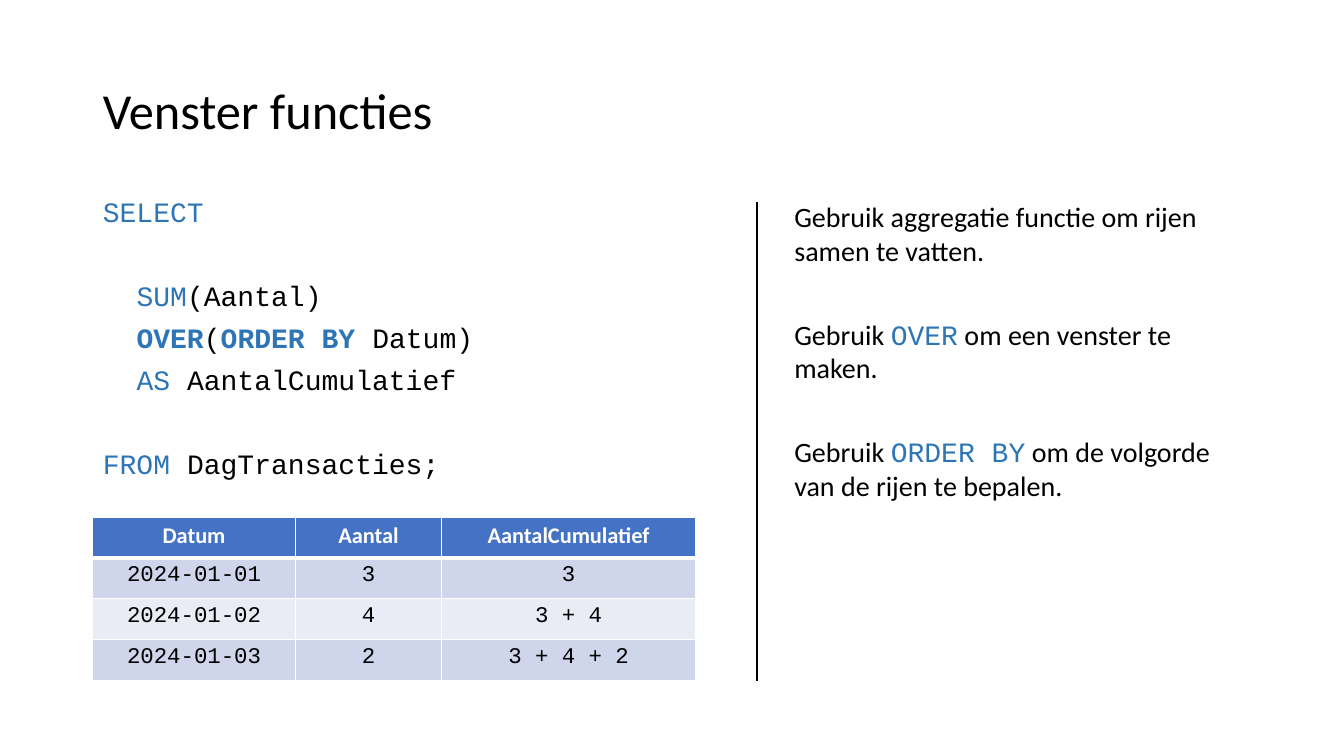
from lxml.etree import SubElement
from pptx import Presentation
from pptx.dml.color import RGBColor
from pptx.enum.shapes import MSO_CONNECTOR
from pptx.enum.text import MSO_ANCHOR, MSO_AUTO_SIZE, PP_ALIGN
from pptx.oxml.ns import qn
from pptx.util import Inches, Pt

BLACK, WHITE, BLUE = "000000", "FFFFFF", "2E75B6"
HEADER_FILL, BAND_FILLS = "4472C4", ("CFD5EA", "E9EBF5")
SANS, MONO = "Calibri", "Courier New"

PLAIN = {"name": SANS, "size": Pt(20), "bold": False, "color": BLACK}
CODE = {**PLAIN, "name": MONO}
KEYWORD = {**CODE, "color": BLUE}
STRONG = {**KEYWORD, "bold": True}
TITLE = {**PLAIN, "size": Pt(36)}
HEADER = {**PLAIN, "size": Pt(16), "bold": True, "color": WHITE}
CELL = {**CODE, "size": Pt(16)}

LINE_GAP, BLOCK_GAP = 6, 36

# Each paragraph: space before, then (text, style) runs
QUERY = [
    (0, [("SELECT", KEYWORD)]),
    (BLOCK_GAP, [("  ", CODE), ("SUM", KEYWORD), ("(Aantal)", CODE)]),
    (LINE_GAP, [("  ", CODE), ("OVER", STRONG), ("(", CODE),
                ("ORDER BY ", STRONG), ("Datum)", CODE)]),
    (LINE_GAP, [("  ", CODE), ("AS ", KEYWORD), ("AantalCumulatief", CODE)]),
    (BLOCK_GAP, [("FROM ", KEYWORD), ("DagTransacties;", CODE)]),
]
EXPLANATION = [
    (0, [("Gebruik aggregatie functie om rijen samen te vatten.", PLAIN)]),
    (BLOCK_GAP, [("Gebruik ", PLAIN), ("OVER", KEYWORD),
                 (" om een venster te maken.", PLAIN)]),
    (BLOCK_GAP, [("Gebruik ", PLAIN), ("ORDER BY", KEYWORD),
                 (" om de volgorde van de rijen te bepalen.", PLAIN)]),
]
RESULT = [
    ("Datum", "Aantal", "AantalCumulatief"),
    ("2024-01-01", "3", "3"),
    ("2024-01-02", "4", "3 + 4"),
    ("2024-01-03", "2", "3 + 4 + 2"),
]


def rgb(value):
    return RGBColor.from_string(value)


class SlideBuilder:
    def __init__(self, prs):
        self.slide = prs.slides.add_slide(prs.slide_layouts[1])

    def place(self, sp, left, top, width, height):
        box = {"left": left, "top": top, "width": width, "height": height}
        for name, value in box.items():
            setattr(sp, name, Inches(value))

    def add_runs(self, p, runs):
        for text, style in runs:
            r = p.add_run()
            r.text = text
            for name, value in style.items():
                if name == "color":
                    r.font.color.rgb = rgb(value)
                else:
                    setattr(r.font, name, value)

    def fill_text(self, sp, paragraphs, anchor=MSO_ANCHOR.TOP, line_spacing=1.0):
        tf = sp.text_frame
        frame = {"word_wrap": True, "auto_size": MSO_AUTO_SIZE.NONE,
                 "vertical_anchor": anchor}
        for name, value in frame.items():
            setattr(tf, name, value)
        for i, (gap, runs) in enumerate(paragraphs):
            p = tf.add_paragraph() if i else tf.paragraphs[0]
            layout = {"alignment": PP_ALIGN.LEFT, "space_before": Pt(gap),
                      "line_spacing": line_spacing}
            for name, value in layout.items():
                setattr(p, name, value)
            self.add_runs(p, runs)
        return tf

    def title(self, text, *box):
        sp = self.slide.shapes.title
        self.place(sp, *box)
        self.fill_text(sp, [(0, [(text, TITLE)])], MSO_ANCHOR.MIDDLE, 0.9)

    def code(self, paragraphs, *box):
        sp = self.slide.placeholders[1]
        self.place(sp, *box)
        tf = self.fill_text(sp, paragraphs, line_spacing=Pt(24))
        tf.margin_top = Inches(0.08)
        for p in tf.paragraphs:
            pPr = p._p.get_or_add_pPr()
            pPr.set("marL", "0")
            pPr.set("indent", "0")
            SubElement(pPr, qn("a:buNone"))

    def text(self, paragraphs, *box):
        sp = self.slide.shapes.add_textbox(*map(Inches, box))
        self.fill_text(sp, paragraphs)

    def border(self, cell, bottom):
        """Draw white cell edges, with the bottom edge in its own width."""
        tcPr = cell._tc.get_or_add_tcPr()
        for side, width in zip("LRTB", (1, 1, 1, bottom)):
            ln = SubElement(tcPr, qn(f"a:ln{side}"), w=str(Pt(width)))
            fill = SubElement(ln, qn("a:solidFill"))
            SubElement(fill, qn("a:srgbClr"), val=WHITE)

    def table(self, rows, widths, *box):
        table = self.slide.shapes.add_table(
            len(rows), len(widths), *map(Inches, box)).table
        for column, width in zip(table.columns, widths):
            column.width = Inches(width)
        for i, row in enumerate(rows):
            fill = BAND_FILLS[(i - 1) % 2] if i else HEADER_FILL
            for j, text in enumerate(row):
                cell = table.cell(i, j)
                self.border(cell, 1 if i else 3)
                cell.fill.solid()
                cell.fill.fore_color.rgb = rgb(fill)
                p = cell.text_frame.paragraphs[0]
                p.alignment = PP_ALIGN.CENTER
                self.add_runs(p, [(text, CELL if i else HEADER)])

    def line(self, *ends):
        sp = self.slide.shapes.add_connector(
            MSO_CONNECTOR.STRAIGHT, *map(Inches, ends))
        sp.line.color.rgb = rgb(BLACK)
        sp.line.width = Pt(1.5)
        SubElement(sp._element.spPr, qn("a:effectLst"))


def main():
    prs = Presentation()
    prs.slide_width, prs.slide_height = Inches(13.33), Inches(7.5)
    s = SlideBuilder(prs)
    s.title("Venster functies", 0.92, 0.4, 11.5, 1.45)
    s.code(QUERY, 0.92, 1.85, 6.32, 4.91)
    s.text(EXPLANATION, 7.78, 1.93, 4.63, 4.82)
    s.table(RESULT, (2.01, 1.45, 2.52), 0.92, 5.13, 5.98, 1.62)
    s.line(7.51, 2, 7.51, 6.76)
    prs.save("out.pptx")


if __name__ == "__main__":
    main()
